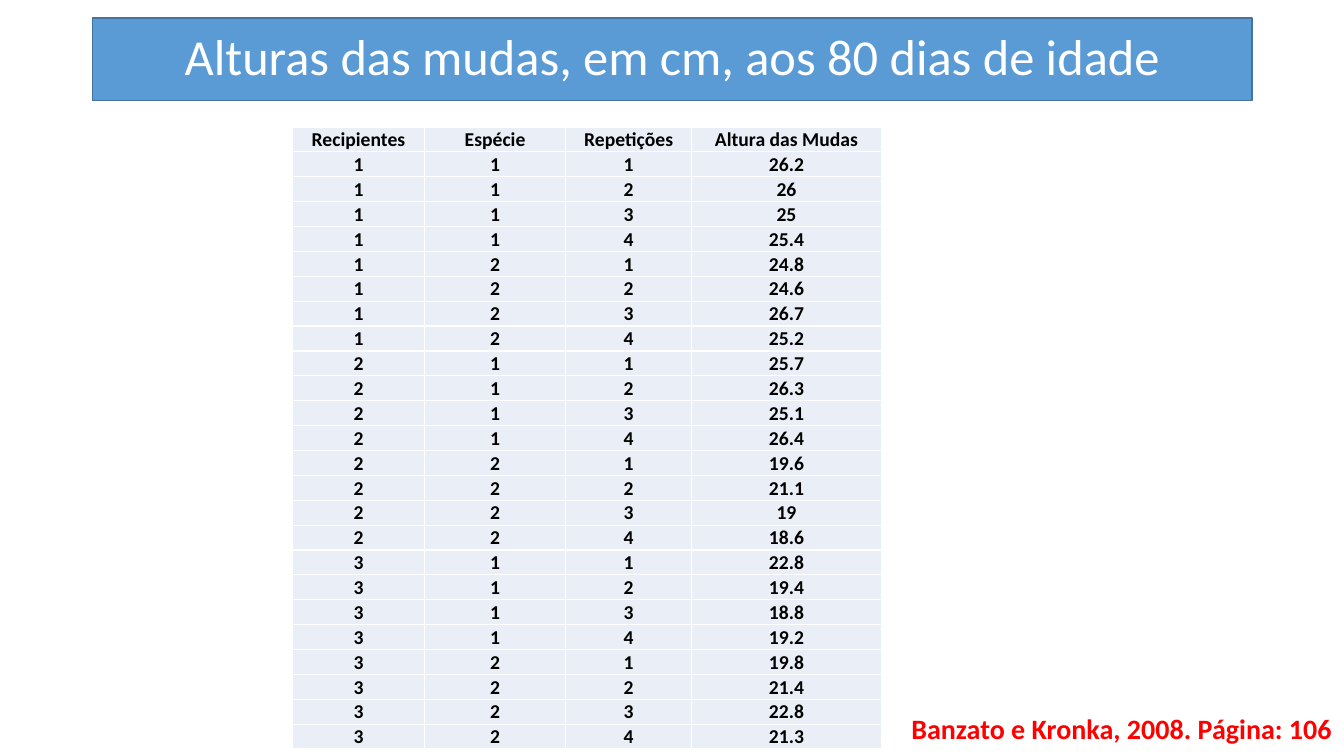
import itertools

import pptx
import pptx.dml.color
import pptx.enum.shapes
import pptx.enum.text
import pptx.oxml
import pptx.oxml.ns
import pptx.util

RGBColor = pptx.dml.color.RGBColor
ALIGN = pptx.enum.text.PP_ALIGN
ANCHOR = pptx.enum.text.MSO_ANCHOR

WHITE = RGBColor(0xFF, 0xFF, 0xFF)
BLACK = RGBColor(0x00, 0x00, 0x00)
RED = RGBColor(0xFF, 0x00, 0x00)
BLUE = RGBColor(0x5B, 0x9B, 0xD5)
DARK_BLUE = RGBColor(0x43, 0x73, 0x9E)
PALE_BLUE = RGBColor(0xEA, 0xEF, 0xF7)

FONT = "Calibri"
WIDTH = pptx.util.Inches(13.33)
HEIGHT = pptx.util.Inches(7.5)

HEADERS = ["Recipientes", "Espécie", "Repetições", "Altura das Mudas"]
COLUMN_SHARES = [9.83, 10.5, 9.38, 14.1]
ROW_SHARE = 3.2
# One line per container and species, one value per repetition.
SEEDLING_HEIGHTS = [
    26.2, 26, 25, 25.4,
    24.8, 24.6, 26.7, 25.2,
    25.7, 26.3, 25.1, 26.4,
    19.6, 21.1, 19, 18.6,
    22.8, 19.4, 18.8, 19.2,
    19.8, 21.4, 22.8, 21.3,
]


def across(percent):
    return round(WIDTH * percent / 100)


def down(percent):
    return round(HEIGHT * percent / 100)


def area(left, top, width, height):
    """Turn percentages of the slide into a position and a size."""
    return across(left), down(top), across(width), down(height)


def write(tf, text, size, color, bold=False, align=ALIGN.CENTER, spacing=None):
    p = tf.paragraphs[0]
    p.alignment = align
    if spacing:
        p.line_spacing = spacing
    r = p.add_run()
    r.text = text
    r.font.name = FONT
    r.font.size = pptx.util.Pt(size)
    r.font.bold = bold
    r.font.color.rgb = color


def add_title(slide, text):
    sp = slide.shapes.add_shape(pptx.enum.shapes.MSO_SHAPE.RECTANGLE,
                                *area(6.9, 2.4, 86.27, 10.93))
    sp.shadow.inherit = False
    sp.fill.solid()
    sp.fill.fore_color.rgb = BLUE
    sp.line.color.rgb = DARK_BLUE
    sp.line.width = pptx.util.Pt(1)
    sp.text_frame.word_wrap = True
    sp.text_frame.vertical_anchor = ANCHOR.MIDDLE
    write(sp.text_frame, text, 36, WHITE, spacing=0.9)


def add_citation(slide, text):
    tf = slide.shapes.add_textbox(*area(67.07, 94, 33.46, 7.6)).text_frame
    tf.word_wrap = True
    write(tf, text, 20, RED, bold=True, align=ALIGN.JUSTIFY, spacing=0.9)


def add_borders(cell, color, width):
    for side in ("lnL", "lnR", "lnT", "lnB"):
        cell._tc.get_or_add_tcPr().append(pptx.oxml.parse_xml(
            f'<a:{side} {pptx.oxml.ns.nsdecls("a")} w="{pptx.util.Pt(width)}">'
            f'<a:solidFill><a:srgbClr val="{color}"/></a:solidFill></a:{side}>'))


def format_cell(cell, text):
    cell.margin_left = cell.margin_right = cell.margin_top = pptx.util.Inches(0.01)
    cell.margin_bottom = 0
    cell.vertical_anchor = ANCHOR.BOTTOM
    add_borders(cell, WHITE, 1)
    cell.fill.solid()
    cell.fill.fore_color.rgb = PALE_BLUE
    write(cell.text_frame, text, 14, BLACK, bold=True)


def add_data_table(slide, rows):
    table = slide.shapes.add_table(
        len(rows), len(HEADERS),
        *area(21.76, 16.8, sum(COLUMN_SHARES), ROW_SHARE * len(rows))).table
    for column, share in zip(table.columns, COLUMN_SHARES):
        column.width = across(share)
    for row, values in zip(table.rows, rows):
        row.height = down(ROW_SHARE)
        for cell, value in zip(row.cells, values):
            format_cell(cell, str(value))


def main():
    prs = pptx.Presentation()
    prs.slide_width, prs.slide_height = WIDTH, HEIGHT
    slide = prs.slides.add_slide(prs.slide_layouts[6])

    factors = itertools.product(range(1, 4), range(1, 3), range(1, 5))
    rows = [(*levels, height) for levels, height in zip(factors, SEEDLING_HEIGHTS)]
    add_data_table(slide, [HEADERS, *rows])
    add_title(slide, "Alturas das mudas, em cm, aos 80 dias de idade")
    add_citation(slide, "Banzato e Kronka, 2008. Página: 106")
    prs.save("out.pptx")


if __name__ == "__main__":
    main()
